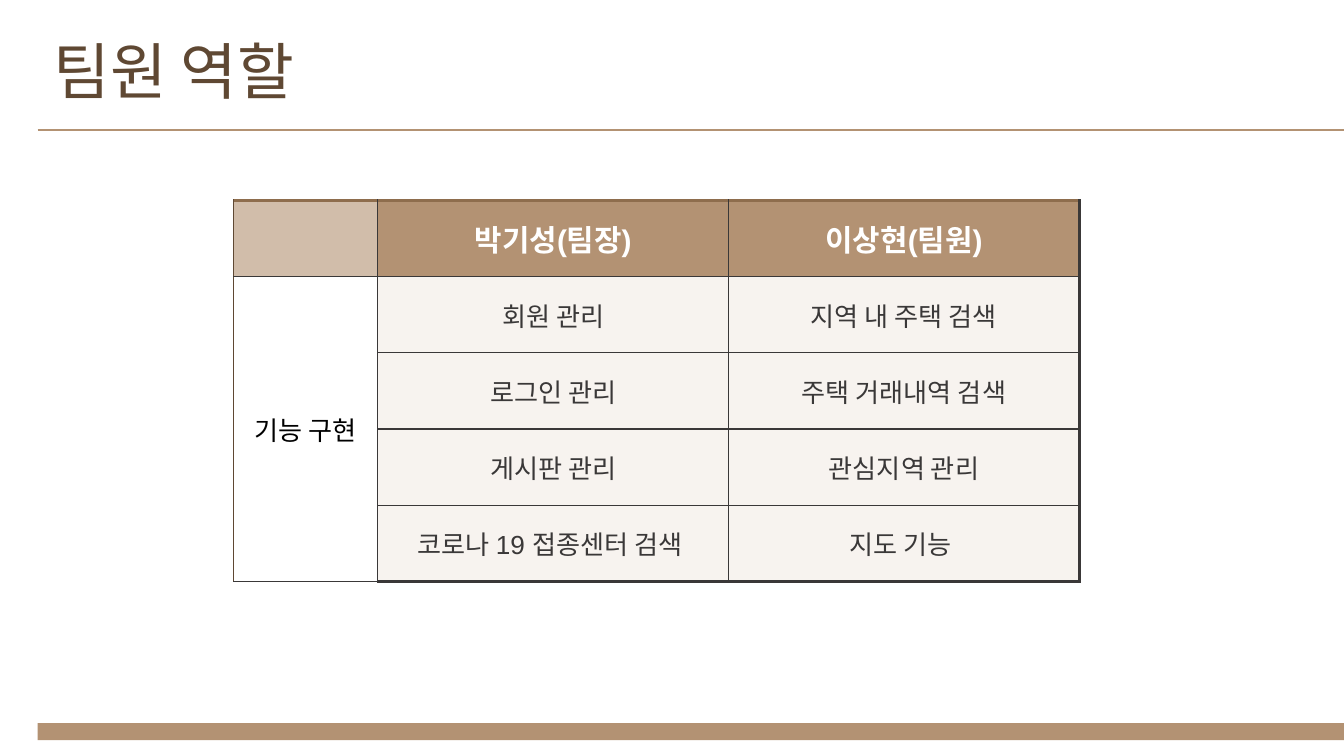
from typing import NamedTuple

from lxml import etree
from pptx import Presentation
from pptx.dml.color import RGBColor
from pptx.enum.shapes import MSO_CONNECTOR, MSO_SHAPE
from pptx.enum.text import MSO_ANCHOR, PP_ALIGN
from pptx.oxml.ns import qn
from pptx.util import Cm, Pt

RECT = MSO_SHAPE.RECTANGLE
LINE = MSO_CONNECTOR.STRAIGHT
MIDDLE = MSO_ANCHOR.MIDDLE
CENTER = PP_ALIGN.CENTER

TAN = RGBColor(0xB3, 0x92, 0x73)
SAND = RGBColor(0xD1, 0xBD, 0xAA)
CREAM = RGBColor(0xF7, 0xF3, 0xEF)
BROWN = RGBColor(0x5F, 0x48, 0x33)
BRONZE = RGBColor(0x8E, 0x6D, 0x4D)
GRAY = RGBColor(0x3A, 0x38, 0x38)
WHITE = RGBColor(0xFF, 0xFF, 0xFF)
BLACK = RGBColor(0x00, 0x00, 0x00)

FONT = "Arial"
LEFT, WIDE, HIGH = 0.71, 25.4, 14.29
COLS = (2.72, 6.63, 6.63)
ROW = 1.44
THIN, THICK = 0.75, 1.5


class Style(NamedTuple):
    fill: RGBColor
    color: RGBColor
    size: float = 14
    bold: bool = False


class Edge(NamedTuple):
    color: RGBColor = GRAY
    width: float = THIN


HEAD = Style(TAN, WHITE, 16, True)
BLANK = Style(SAND, WHITE)
LABEL = Style(WHITE, BLACK)
BODY = Style(CREAM, GRAY)

ROLES = (
    ("", "박기성(팀장)", "이상현(팀원)"),
    ("기능 구현", "회원 관리", "지역 내 주택 검색"),
    ("", "로그인 관리", "주택 거래내역 검색"),
    ("", "게시판 관리", "관심지역 관리"),
    ("", "코로나 19 접종센터 검색 ", "지도 기능 "),
)


def add_run(para, text: str, style: Style) -> None:
    run = para.add_run()
    run.text = text
    font = run.font
    font.name = FONT
    font.size = Pt(style.size)
    font.bold = style.bold
    font.color.rgb = style.color


def set_edges(cell, edges: dict[str, Edge]) -> None:
    """Put border lines ahead of the cell fill, in schema order."""
    props = cell._tc.get_or_add_tcPr()
    for spot, side in enumerate("LRTB"):
        edge = edges[side]
        line = etree.Element(qn(f"a:ln{side}"), w=str(Pt(edge.width)))
        fill = etree.SubElement(line, qn("a:solidFill"))
        etree.SubElement(fill, qn("a:srgbClr"), val=str(edge.color))
        props.insert(spot, line)


def pick_style(row: int, col: int) -> Style:
    if row == 0:
        return HEAD if col else BLANK
    return BODY if col else LABEL


def pick_edges(row: int, col: int) -> dict[str, Edge]:
    last_row, last_col = len(ROLES) - 1, len(COLS) - 1
    return {
        "L": Edge() if col else Edge(BROWN),
        "R": Edge(width=THICK if col == last_col else THIN),
        "T": Edge() if row else Edge(BRONZE, THICK),
        "B": Edge(width=THICK if row == last_row else THIN),
    }


def fill_cell(cell, text: str, row: int, col: int) -> None:
    style = pick_style(row, col)
    cell.fill.solid()
    cell.fill.fore_color.rgb = style.fill
    set_edges(cell, pick_edges(row, col))
    cell.vertical_anchor = MIDDLE
    cell.margin_left = cell.margin_right = Cm(0.2)
    cell.margin_top = cell.margin_bottom = Cm(0.1)
    if text:
        para = cell.text_frame.paragraphs[0]
        para.alignment = CENTER
        add_run(para, text, style)


def add_roles(slide) -> None:
    frame = slide.shapes.add_table(
        len(ROLES), len(COLS), Cm(4.42), Cm(3.79),
        Cm(sum(COLS)), Cm(ROW * len(ROLES)))
    table = frame.table
    for col, width in zip(table.columns, COLS):
        col.width = Cm(width)
    for r, texts in enumerate(ROLES):
        table.rows[r].height = Cm(ROW)
        for c, text in enumerate(texts):
            fill_cell(table.cell(r, c), text, r, c)
    table.cell(1, 0).merge(table.cell(len(ROLES) - 1, 0))


def add_trim(slide) -> None:
    """Draw the footer bar and the rule under the title."""
    bar = slide.shapes.add_shape(
        RECT, Cm(LEFT), Cm(13.67), Cm(WIDE - LEFT), Cm(0.32))
    bar.shadow.inherit = False
    bar.fill.solid()
    bar.fill.fore_color.rgb = TAN
    bar.line.fill.background()
    rule = slide.shapes.add_connector(
        LINE, Cm(LEFT), Cm(2.46), Cm(WIDE), Cm(2.46))
    rule.line.color.rgb = TAN
    rule.line.width = Pt(THIN)
    etree.SubElement(rule._element.spPr, qn("a:effectLst"))


def add_title(slide) -> None:
    box = slide.shapes.add_textbox(Cm(0.82), Cm(0.53), Cm(18.69), Cm(1.6))
    frame = box.text_frame
    frame.word_wrap = True
    frame.margin_left = frame.margin_right = Cm(0.19)
    frame.margin_top = frame.margin_bottom = Cm(0.1)
    add_run(frame.paragraphs[0], "팀원 역할", Style(WHITE, BROWN, 33))


def main() -> None:
    deck = Presentation()
    deck.slide_width, deck.slide_height = Cm(WIDE), Cm(HIGH)
    slide = deck.slides.add_slide(deck.slide_layouts[6])
    add_trim(slide)
    add_roles(slide)
    add_title(slide)
    deck.save("out.pptx")


if __name__ == "__main__":
    main()
